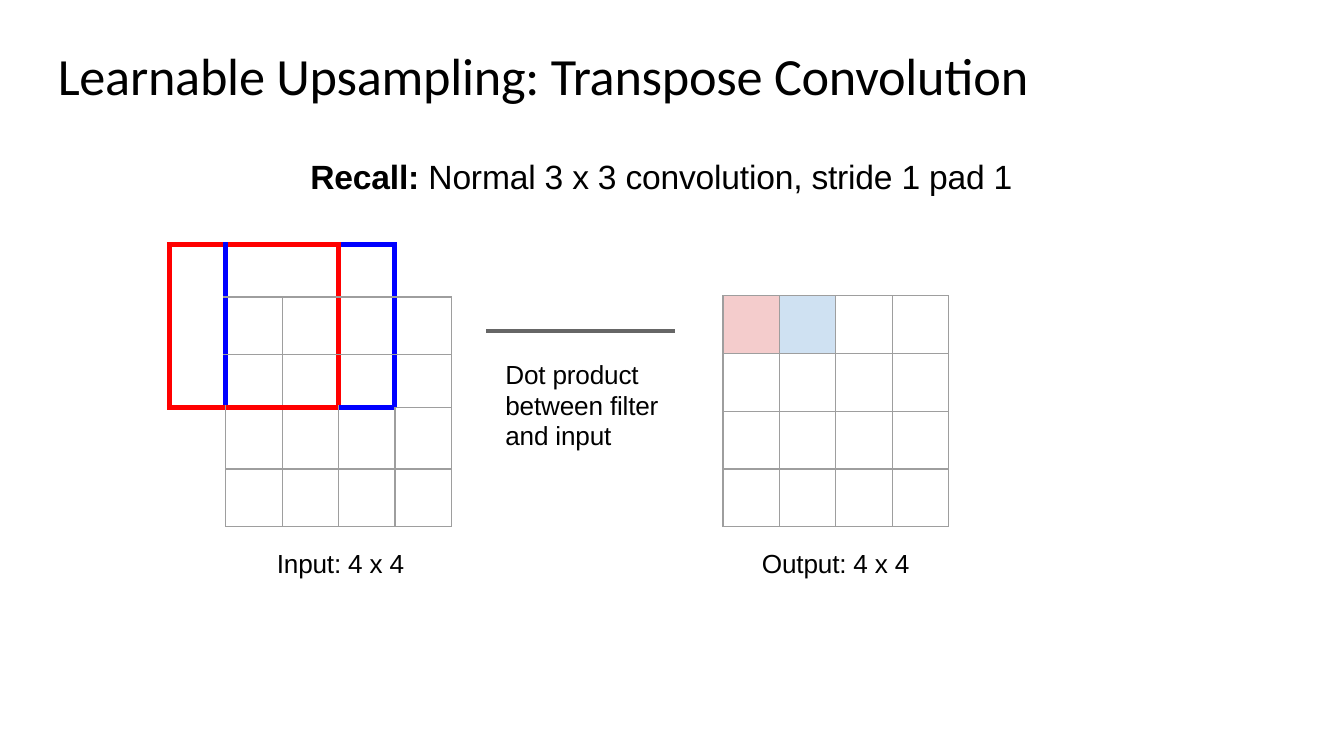
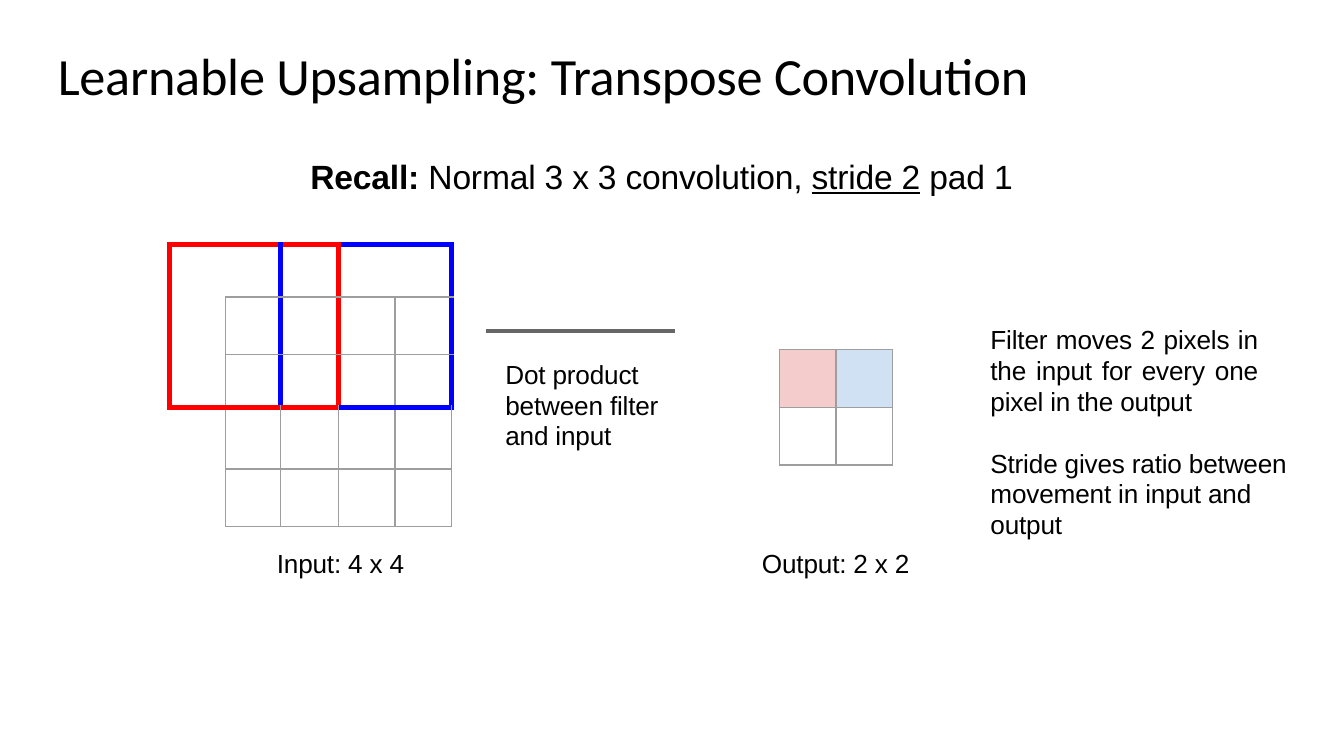
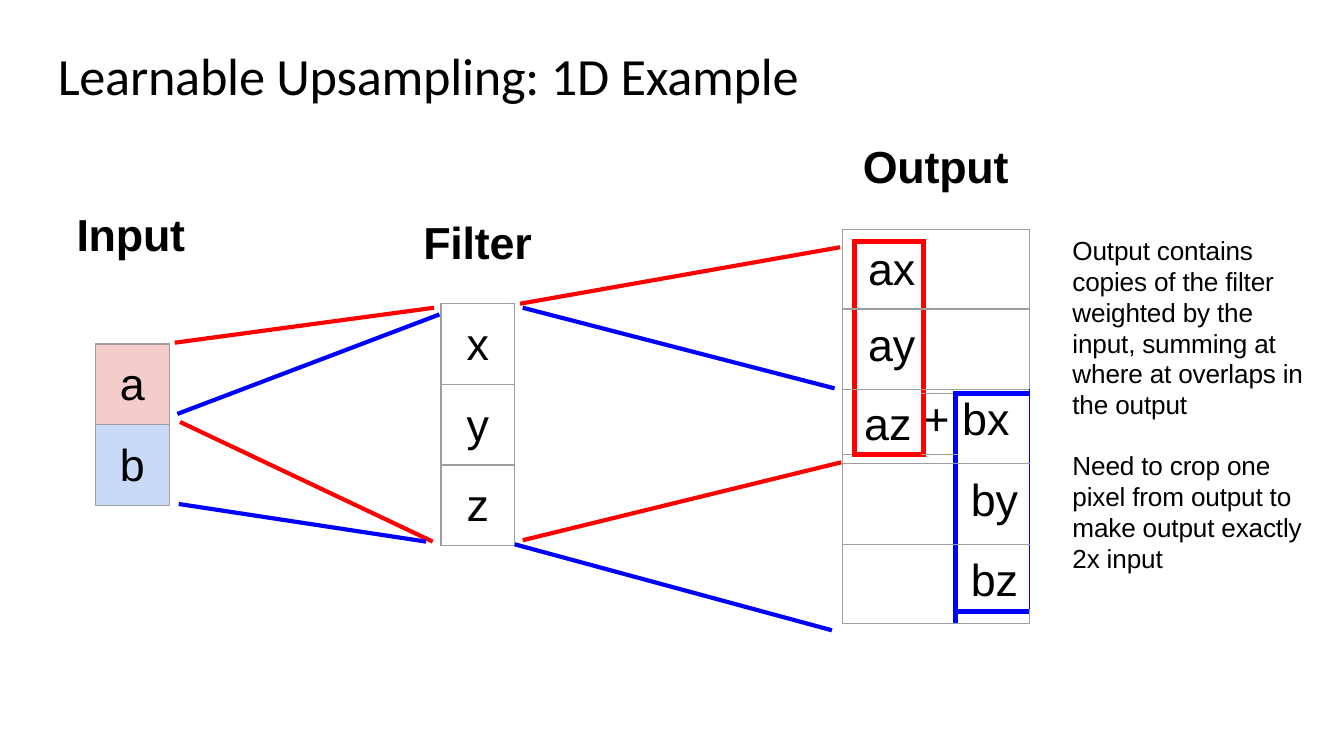
from lxml.etree import SubElement
from pptx import Presentation
from pptx.dml.color import RGBColor
from pptx.enum.shapes import MSO_CONNECTOR as LINE, MSO_SHAPE as SHAPE
from pptx.enum.text import MSO_ANCHOR as ANCHOR, PP_ALIGN as ALIGN
from pptx.oxml.ns import qn
from pptx.util import Inches, Pt

BLACK, GREY, DARK_GREY = "000000", "9E9E9E", "666666"
RED, BLUE = "FF0000", "0000FF"
PINK, PALE_BLUE, SKY = "F4CCCC", "CFE1F2", "C8DAF7"
NO_STYLE_TABLE = "{2D5ABB26-0587-4C30-8999-92F81FD0307C}"

# Cell edges are four letters (left, right, top, bottom); x hides an edge, - leaves it unset.
EDGES = {"g": (GREY, 0.75), "R": (RED, 3), "B": (BLUE, 3), "b": (BLUE, 0.75)}
EDGE_TAGS = ("a:lnL", "a:lnR", "a:lnT", "a:lnB")
CELL = 0.42
PITCH = 0.43


def color(value):
    return RGBColor.from_string(value)


def style_paragraph(para, size, font="Arial", bold=False, align=ALIGN.LEFT):
    para.alignment = align
    para.font.name = font
    para.font.size = Pt(size)
    para.font.bold = bold
    para.font.color.rgb = color(BLACK)


def set_margins(target, left=0, top=0):
    target.margin_left, target.margin_top = Inches(left), Inches(top)
    target.margin_right = target.margin_bottom = 0


def add_text(page, box, spans, size, top_margin=0.01, anchor=ANCHOR.TOP, **style):
    """Add a one-paragraph text box; spans are (text, extra) with extra "", "bold" or "underline"."""
    frame = page.shapes.add_textbox(*map(Inches, box)).text_frame
    frame.word_wrap = True
    frame.vertical_anchor = anchor
    set_margins(frame, 0.01, top_margin)
    para = frame.paragraphs[0]
    style_paragraph(para, size, **style)
    for text, extra in spans:
        span = para.add_run()
        span.text = text
        span._r.get_or_add_rPr().set("spc", "-10")
        if extra:
            setattr(span.font, extra, True)
    return para


def add_title(page, text, width):
    add_text(page, (0.42, 0.3, width, 0.49), [(text, "")], 28,
             top_margin=0.02, anchor=ANCHOR.MIDDLE, font="Calibri")


def add_note(page, box, text, align=ALIGN.LEFT):
    para = add_text(page, box, [(text, "")], 14, top_margin=0.03, align=align)
    para.line_spacing = Pt(16.5)


def add_line(page, start, end, line_color, width=2.25):
    line = page.shapes.add_connector(LINE.STRAIGHT, *map(Inches, start + end))
    line.line.color.rgb = color(line_color)
    line.line.width = Pt(width)
    SubElement(line._element.spPr, qn("a:effectLst"))


def add_letter_box(page, box, letter, fill=None):
    rect = page.shapes.add_shape(SHAPE.RECTANGLE, *map(Inches, box))
    rect.shadow.inherit = False
    if fill:
        rect.fill.solid()
        rect.fill.fore_color.rgb = color(fill)
    else:
        rect.fill.background()
    rect.line.color.rgb = color(GREY)
    rect.line.width = Pt(0.75)
    frame = rect.text_frame
    frame.vertical_anchor = ANCHOR.TOP
    set_margins(frame, top=0.09)
    para = frame.paragraphs[0]
    para.text = letter
    style_paragraph(para, 24, align=ALIGN.CENTER)


def set_edges(cell, edges):
    properties = cell._tc.get_or_add_tcPr()
    for tag, edge in zip(EDGE_TAGS, edges):
        if edge == "x":
            SubElement(SubElement(properties, qn(tag)), qn("a:noFill"))
        elif edge in EDGES:
            edge_color, width = EDGES[edge]
            line = SubElement(properties, qn(tag), w=str(Pt(width)))
            fill = SubElement(line, qn("a:solidFill"))
            SubElement(fill, qn("a:srgbClr"), val=edge_color)


def add_grid(page, left, top, widths, heights, cells, fills=None, letters=None):
    """Add a table; cells maps (row, col) to (rows spanned, columns spanned, edges)."""
    fills, letters = fills or {}, letters or {}
    box = (left, top, sum(widths), sum(heights))
    holder = page.shapes.add_table(len(heights), len(widths), *map(Inches, box))
    next(holder._element.iter(qn("a:tableStyleId"))).text = NO_STYLE_TABLE
    table = holder.table
    table.first_row = table.horz_banding = False
    for column, width in zip(table.columns, widths):
        column.width = Inches(width)
    for row, height in zip(table.rows, heights):
        row.height = Inches(height)

    for (row, col), (rows, cols, edges) in cells.items():
        cell = table.cell(row, col)
        if rows * cols > 1:
            cell.merge(table.cell(row + rows - 1, col + cols - 1))
        set_edges(cell, edges)

    for row in range(len(heights)):
        for col in range(len(widths)):
            cell = table.cell(row, col)
            set_margins(cell)
            para = cell.text_frame.paragraphs[0]
            if (row, col) in letters:
                text, margins, align = letters[row, col]
                set_margins(cell, *margins)
                para.text = text
                style_paragraph(para, 24, align=align)
            else:  # tiny empty text lets thin rows keep their height
                SubElement(para._p, qn("a:endParaRPr"), sz="100")
            if (row, col) in fills:
                cell.fill.solid()
                cell.fill.fore_color.rgb = color(fills[row, col])
            else:
                cell.fill.background()


def add_input_grid(page, left, top, widths, stride, spans):
    """Padded 4 x 4 input, with a red 3 x 3 filter and a blue one moved by the stride."""
    heights = [0.39, PITCH, 0.39, 0.46, PITCH]

    def vertical(line, row):
        if row < 3 and line in (0, 3):
            return "R"
        if row < 3 and line in (stride, stride + 3):
            return "B"
        return "g" if row >= 1 and line >= 1 else "x"

    def horizontal(line, col):
        if line in (0, 3) and col < 3:
            return "R"
        if line in (0, 3) and col < 3 + stride:
            return "B"
        return "g" if col >= 1 and line >= 1 else "x"

    covered = {(row + i, col + j)
               for (row, col), (rows, cols) in spans.items()
               for i in range(rows) for j in range(cols) if i or j}
    cells = {}
    for row in range(5):
        for col in range(5):
            if (row, col) not in covered:
                rows, cols = spans.get((row, col), (1, 1))
                edges = (vertical(col, row) + vertical(col + cols, row)
                         + horizontal(row, col) + horizontal(row + rows, col))
                cells[row, col] = (rows, cols, edges)
    add_grid(page, left, top, widths, heights, cells)


def add_result_grid(page, left, top, count):
    cells = {(row, col): (1, 1, "gggg") for row in range(count) for col in range(count)}
    add_grid(page, left, top, [CELL] * count, [PITCH] * count, cells,
             {(0, 0): PINK, (0, 1): PALE_BLUE})


def build_convolution(page, recall, widths, stride, spans, result, result_top):
    add_title(page, "Learnable Upsampling: Transpose Convolution", 8.11)
    add_text(page, (2.3, 1.15, 5.32, 0.33), recall, 18)
    add_result_grid(page, 6.22 - result * CELL / 2, result_top, result)
    add_input_grid(page, 1.26, 1.82, widths, stride, spans)
    add_text(page, (2.05, 4.06, 0.99, 0.26), [("Input: 4 x 4", "")], 14)
    add_text(page, (5.66, 4.06, 1.14, 0.26), [(f"Output: {result} x {result}", "")], 14)
    add_line(page, (3.62, 2.46), (5.02, 2.46), DARK_GREY)
    add_note(page, (3.75, 2.64, 1.18, 0.72), "Dot product between filter and input")


def add_letter_column(page, left, top, letters):
    width, height = 0.55, 0.6
    for index, (letter, fill) in enumerate(letters):
        add_letter_box(page, (left, top + index * height, width, height), letter, fill)


def add_overlap_grid(page, left, top):
    """Output column where the red and the blue filter copies overlap in one row."""
    cells = {
        (0, 0): (1, 1, "g-g-"), (0, 1): (1, 1, "--gR"), (0, 2): (2, 2, "-ggg"),
        (1, 0): (1, 1, "gR-g"), (1, 1): (1, 1, "RRRg"),
        (2, 0): (1, 1, "gRgg"), (2, 1): (1, 1, "RRgg"), (2, 2): (1, 2, "Rggg"),
        (3, 0): (2, 1, "gRg-"), (3, 1): (2, 1, "RRgR"), (3, 2): (1, 2, "Rbg-"),
        (4, 2): (1, 1, "RB--"), (4, 3): (2, 1, "BbBg"),
        (5, 0): (1, 3, "gB-g"),
        (6, 0): (1, 3, "gBgg"), (6, 3): (1, 1, "Bbgg"),
        (7, 0): (2, 3, "gBgg"), (7, 3): (1, 1, "BbgB"),
        (8, 3): (1, 1, "-gBg"),
    }
    letters = {
        (1, 1): ("ax", (0.04, 0.02), ALIGN.CENTER),
        (2, 1): ("ay", (0.04, 0.09), ALIGN.CENTER),
        (3, 1): ("az", (0.07, 0.08), ALIGN.LEFT),
        (4, 2): ("+", (0, 0.01), ALIGN.LEFT),
        (4, 3): ("bx", (0.05, 0.01), ALIGN.LEFT),
        (6, 3): ("by", (0.03, 0.09), ALIGN.CENTER),
        (7, 3): ("bz", (0.03, 0.09), ALIGN.CENTER),
    }
    add_grid(page, left, top, [0.09, 0.51, 0.24, 0.55],
             [0.09, 0.5, 0.6, 0.03, 0.45, 0.07, 0.6, 0.5, 0.09], cells, letters=letters)


def build_example(page):
    add_title(page, "Learnable Upsampling: 1D Example", 6.25)
    for text, left, top, width in (("Input", 0.56, 1.53, 0.84),
                                   ("Filter", 3.14, 1.59, 0.84),
                                   ("Output", 6.41, 1.02, 1.12)):
        add_text(page, (left, top, width, 0.43), [(text, "")], 24, bold=True)
    add_letter_column(page, 0.71, 2.56, [("a", PINK), ("b", SKY)])
    for side in (3.28, 3.83):
        add_line(page, (side, 2.26), (side, 4.06), GREY, 0.75)
    add_letter_column(page, 3.28, 2.26, [(letter, None) for letter in "xyz"])
    add_overlap_grid(page, 6.27, 1.71)

    rays = {
        RED: [((1.3, 2.55), (3.23, 2.29)), ((3.87, 2.26), (6.25, 1.84)),
              ((3.89, 4.02), (6.26, 3.44)), ((1.34, 3.14), (3.22, 4.03))],
        BLUE: [((1.33, 3.75), (3.17, 4.03)), ((1.32, 3.08), (3.27, 2.34)),
               ((3.83, 4.05), (6.19, 4.69)), ((3.89, 2.29), (6.21, 2.89))],
    }
    for ray_color, ends in rays.items():
        for start, end in ends:
            add_line(page, start, end, ray_color)

    add_note(page, (7.97, 1.72, 1.77, 1.41), "Output contains copies of the filter weighted by "
             "the input, summing at where at overlaps in the output")
    add_note(page, (7.97, 3.32, 1.76, 0.95),
             "Need to crop one pixel from output to make output exactly 2x input")


def main():
    deck = Presentation()
    deck.slide_width = Inches(10)
    deck.slide_height = deck.slide_width * 9 // 16
    stride_one, stride_two, example = (
        deck.slides.add_slide(deck.slide_layouts[6]) for _ in range(3))

    build_convolution(
        stride_one,
        [("Recall: ", "bold"), ("Normal 3 x 3 convolution, stride 1 pad 1", "")],
        [CELL] * 5, 1, {(0, 0): (3, 1), (0, 1): (1, 2), (3, 0): (2, 1)}, 4, 2.2)

    build_convolution(
        stride_two,
        [("Recall: ", "bold"), ("Normal 3 x 3 convolution, ", ""),
         ("stride 2", "underline"), (" pad 1", "")],
        [CELL, 0.41, 0.43, CELL, CELL], 2,
        {(0, 0): (1, 2), (0, 3): (1, 2), (1, 0): (2, 1), (3, 0): (2, 1)}, 2, 2.6)
    add_note(stride_two, (7.36, 2.38, 2, 0.72), "Filter moves 2 pixels in the input "
             "for every one pixel in the output", ALIGN.JUSTIFY)
    add_note(stride_two, (7.36, 3.3, 2.26, 0.72),
             "Stride gives ratio between movement in input and output")

    build_example(example)
    deck.save("out.pptx")


if __name__ == "__main__":
    main()
